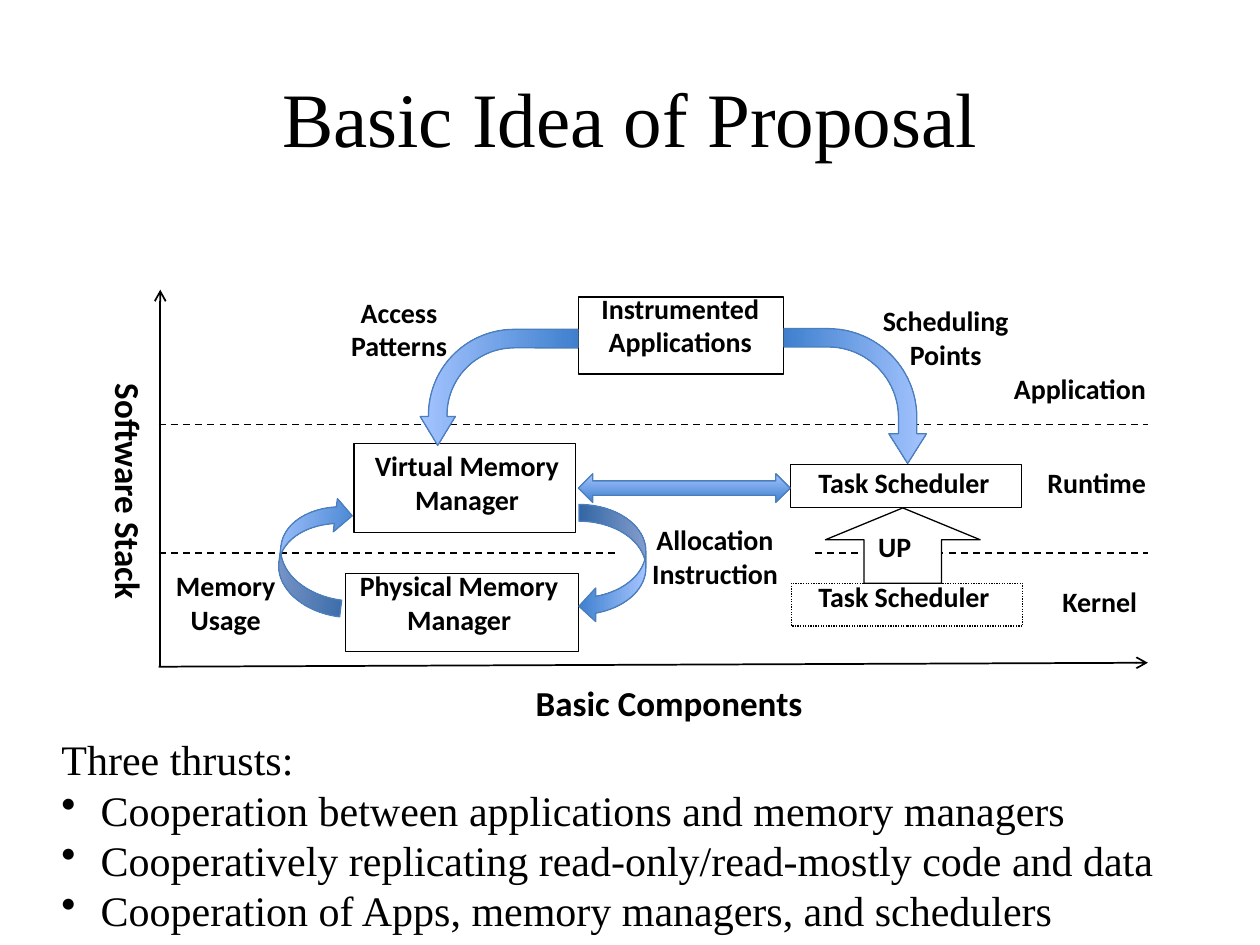
from lxml import etree
from pptx import Presentation
from pptx.dml.color import RGBColor
from pptx.enum.dml import MSO_LINE
from pptx.enum.shapes import MSO_CONNECTOR, MSO_SHAPE
from pptx.enum.text import MSO_ANCHOR, PP_ALIGN
from pptx.oxml.ns import qn
from pptx.util import Cm, Pt

DASH, DOTS = MSO_LINE.DASH, MSO_LINE.ROUND_DOT
BENT, CURVED = MSO_SHAPE.BENT_ARROW, MSO_SHAPE.CURVED_DOWN_ARROW
UP, BOTH_WAYS = MSO_SHAPE.UP_ARROW, MSO_SHAPE.LEFT_RIGHT_ARROW
RECTANGLE = MSO_SHAPE.RECTANGLE
LEFT, CENTER = PP_ALIGN.LEFT, PP_ALIGN.CENTER
TOP, MIDDLE = MSO_ANCHOR.TOP, MSO_ANCHOR.MIDDLE
BLACK, WHITE = "000000", "FFFFFF"
ONE_LINE, TWO_LINES = 0.94, 1.63

presentation = Presentation()
presentation.slide_width, presentation.slide_height = Cm(25.4), Cm(19.05)
slide = presentation.slides.add_slide(presentation.slide_layouts[6])
shapes = slide.shapes


def color(value):
    return RGBColor.from_string(value)


def add_text(text, left, top, width, height, size=16, font="Calibri", bold=True,
             align=CENTER, anchor=TOP, inset=0, fill=None, rotation=0):
    box = shapes.add_textbox(Cm(left), Cm(top), Cm(width), Cm(height))
    box.rotation = rotation
    if fill:
        box.fill.solid()
        box.fill.fore_color.rgb = color(fill)
    frame = box.text_frame
    frame.word_wrap = True
    frame.vertical_anchor = anchor
    frame.margin_left = frame.margin_right = Cm(inset)
    frame.margin_top = frame.margin_bottom = Cm(0.13)
    frame.text = text
    for paragraph in frame.paragraphs:
        paragraph.alignment = align
        paragraph.font.size = Pt(size)
        paragraph.font.name = font
        paragraph.font.bold = bold
        paragraph.font.color.rgb = color(BLACK)
    return frame


# Axes with arrowheads and dashed layer borders
for x1, y1, x2, y2, dash in [
    (3.2, 13.44, 23.14, 13.36, None),
    (3.23, 13.44, 3.23, 5.84, None),
    (3.2, 11.15, 23.14, 11.15, DASH),
    (3.2, 8.56, 23.14, 8.56, DASH),
]:
    line = shapes.add_connector(MSO_CONNECTOR.STRAIGHT, Cm(x1), Cm(y1), Cm(x2), Cm(y2))
    line.line.color.rgb = color(BLACK)
    line.line.width = Pt(1)
    if dash:
        line.line.dash_style = dash
    else:
        outline = line._element.spPr.find(qn("a:ln"))
        etree.SubElement(outline, qn("a:tailEnd"), type="arrow")
    etree.SubElement(line._element.spPr, qn("a:effectLst"))

# Labels on white, which interrupt the layer borders
for text, left, top, width in [
    ("Memory\nUsage", 3.38, 11.33, 2.34),
    ("Scheduling\nPoints", 17.53, 5.99, 3.07),
    ("Access\nPatterns", 6.65, 5.82, 2.79),
    ("Allocation\nInstruction", 12.47, 10.41, 3.89),
]:
    add_text(text, left, top, width, TWO_LINES, fill=WHITE)

# Component boxes
for left, top, width, height, dash in [
    (7.14, 8.94, 4.47, 1.8, None),
    (11.66, 5.99, 4.14, 1.55, None),
    (6.96, 11.56, 4.7, 1.57, None),
    (15.93, 9.37, 4.67, 0.86, None),
    (15.95, 11.76, 4.67, 0.86, DOTS),
]:
    box = shapes.add_shape(RECTANGLE, Cm(left), Cm(top), Cm(width), Cm(height))
    box.shadow.inherit = False
    box.fill.background()
    box.line.color.rgb = color(BLACK)
    box.line.width = Pt(0.75)
    if dash:
        box.line.dash_style = dash

# Block arrows
for kind, left, top, width, height, rotation, flip, adjustments in [
    (UP, 16.64, 10.24, 3.12, 1.52, 0, False, [0.5, 0.423]),
    (BENT, 15.88, 6.55, 2.72, 2.87, 90, False, [0.136, 0.139, 0.22, 0.659]),
    (BENT, 8.89, 6.22, 2.34, 3.18, 270, True, [0.16, 0.152, 0.25, 0.738]),
    (CURVED, 11.15, 10.69, 2.39, 1.35, 90, False, []),
    (BOTH_WAYS, 11.66, 9.55, 4.27, 0.58, 0, False, []),
    (CURVED, 5.13, 10.49, 2.39, 1.35, 277.1, False, []),
]:
    arrow = shapes.add_shape(kind, Cm(left), Cm(top), Cm(width), Cm(height))
    arrow.shadow.inherit = False
    arrow.rotation = rotation
    if flip:
        arrow._element.spPr.find(qn("a:xfrm")).set("flipH", "1")
    for index, value in enumerate(adjustments):
        arrow.adjustments[index] = value
    arrow.line.width = Pt(0.75)
    if kind == UP:
        arrow.fill.solid()
        arrow.fill.fore_color.rgb = color(WHITE)
        arrow.line.color.rgb = color(BLACK)
    else:
        arrow.fill.gradient()
        arrow.fill.gradient_angle = 90
        for stop, value in zip(arrow.fill.gradient_stops, ["3F80CE", "A4C4FF"]):
            stop.color.rgb = color(value)
        arrow.line.color.rgb = color("4B7EBC")

# Component names and layer names
for text, left, top, width in [
    ("Virtual Memory\nManager", 6.99, 8.92, 4.85),
    ("Instrumented\nApplications", 11.63, 5.74, 4.17),
    ("Physical Memory\nManager", 6.78, 11.33, 4.95),
    ("Task Scheduler", 15.9, 9.25, 4.65),
    ("Task Scheduler", 15.9, 11.56, 4.65),
    ("UP", 17.45, 10.54, 1.17),
    ("Application", 20.32, 7.37, 2.9),
    ("Runtime", 20.93, 9.25, 2.36),
    ("Kernel", 20.85, 11.66, 2.64),
]:
    add_text(text, left, top, width, TWO_LINES if "\n" in text else ONE_LINE)

# Axis titles
add_text("Basic Components", 10.06, 13.61, 6.86, 1.12, size=20)
add_text("Software Stack", 0.13, 9.35, 4.93, 1.12, size=20, rotation=90)

# Slide title and thrusts
add_text("Basic Idea of Proposal", 1.27, 0.76, 22.86, 3.18, size=44,
         font="Times New Roman", bold=False, anchor=MIDDLE)
thrusts = add_text(
    "Three thrusts:\n"
    "Cooperation between applications and memory managers\n"
    "Cooperatively replicating read-only/read-mostly code and data\n"
    "Cooperation of Apps, memory managers, and schedulers",
    0.99, 14.66, 23.06, 4.37, size=24, font="Times New Roman", bold=False,
    align=LEFT, inset=0.25)
for paragraph in thrusts.paragraphs[1:]:
    properties = paragraph._p.get_or_add_pPr()
    properties.set("marL", str(Cm(0.79)))
    properties.set("indent", str(-Cm(0.79)))
    bullet = etree.Element(qn("a:buChar"), char="•")
    properties.insert(0, bullet)

presentation.save("out.pptx")
